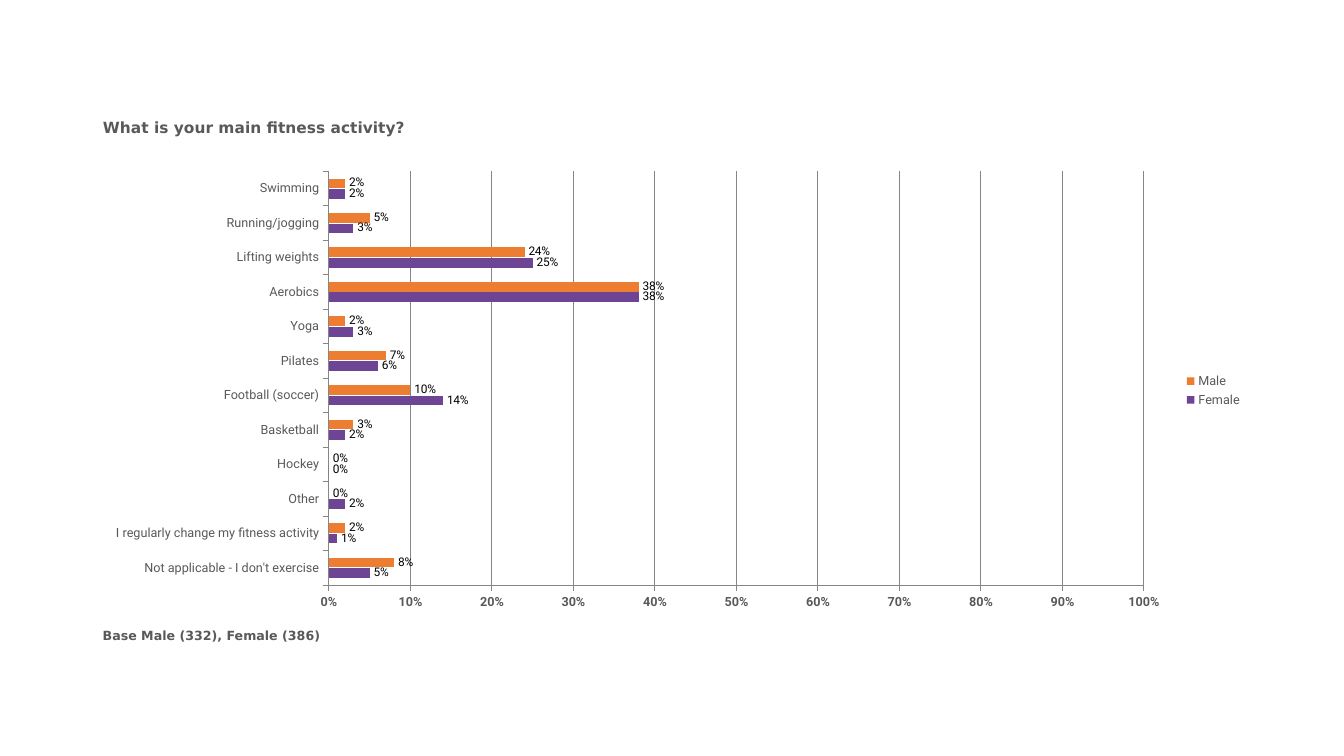
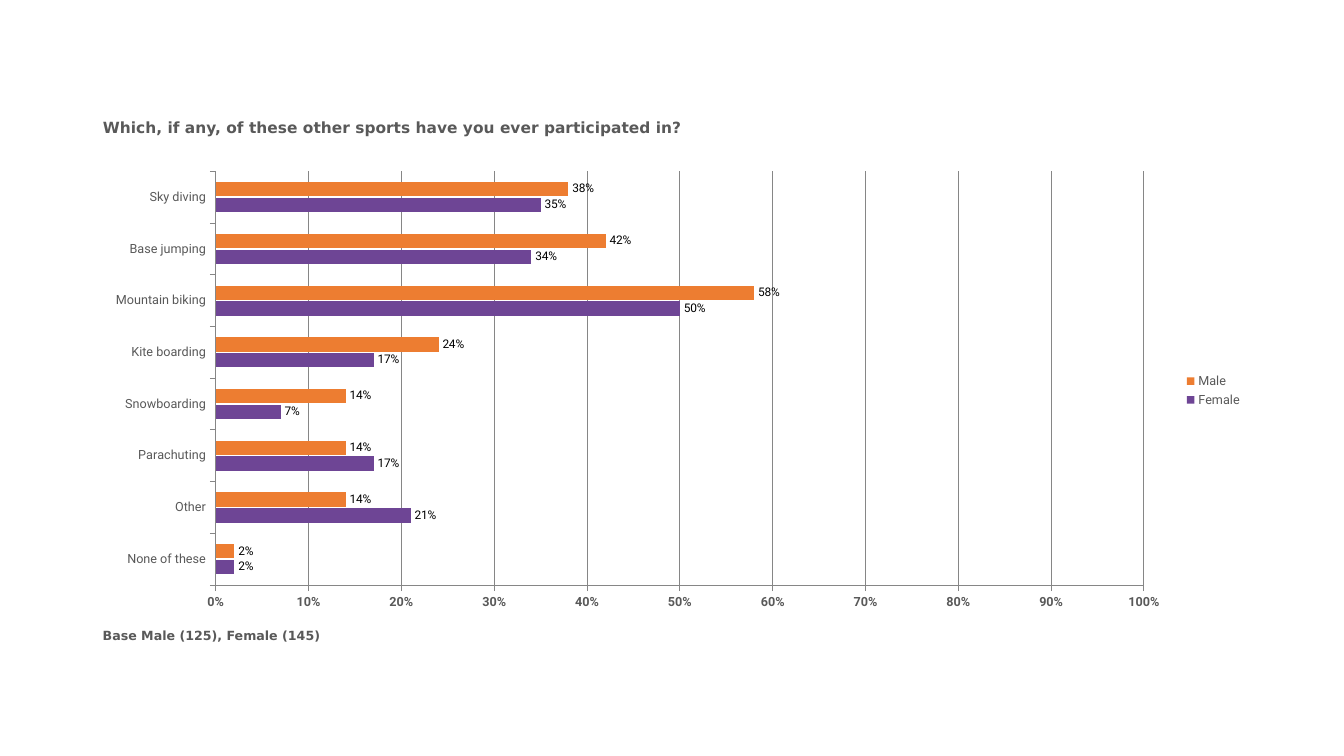
"""Build two survey slides comparing male and female answers in bar charts."""
from pptx import Presentation
from pptx.chart.data import CategoryChartData
from pptx.dml.color import RGBColor
from pptx.enum.chart import XL_CHART_TYPE, XL_LABEL_POSITION, XL_LEGEND_POSITION, XL_TICK_LABEL_POSITION, XL_TICK_MARK
from pptx.enum.text import MSO_ANCHOR, MSO_AUTO_SIZE, PP_ALIGN
from pptx.util import Inches, Pt

SURVEYS = [
    {
        "question": "What is your main fitness activity?",
        "base": "Base Male (332), Female (386)",
        "answers": [
            ("Not applicable - I don't exercise", 0.05, 0.08),
            ("I regularly change my fitness activity", 0.01, 0.02),
            ("Other", 0.02, 0),
            ("Hockey", 0, 0),
            ("Basketball", 0.02, 0.03),
            ("Football (soccer)", 0.14, 0.10),
            ("Pilates", 0.06, 0.07),
            ("Yoga", 0.03, 0.02),
            ("Aerobics", 0.38, 0.38),
            ("Lifting weights", 0.25, 0.24),
            ("Running/jogging", 0.03, 0.05),
            ("Swimming", 0.02, 0.02),
        ],
    },
    {
        "question": "Which, if any, of these other sports have you ever participated in?",
        "base": "Base Male (125), Female (145)",
        "answers": [
            ("None of these", 0.02, 0.02),
            ("Other", 0.21, 0.14),
            ("Parachuting", 0.17, 0.14),
            ("Snowboarding", 0.07, 0.14),
            ("Kite boarding", 0.17, 0.24),
            ("Mountain biking", 0.50, 0.58),
            ("Base jumping", 0.34, 0.42),
            ("Sky diving", 0.35, 0.38),
        ],
    },
]
GROUPS = ("Female", "Male")
COLORS = {"Female": "6E4595", "Male": "ED7D31", "text": "595959", "label": "000000", "line": "868686"}
TEXT_FONT, CHART_FONT = "DejaVu Sans", "Roboto"
LEFT, WIDTH = 0.92, 11.5
ROWS = {"question": (1.12, 0.51), "chart": (1.61, 4.53), "base": (6.18, 0.43)}


def color(name):
    return RGBColor.from_string(COLORS[name])


def box(row):
    top, height = ROWS[row]
    return [Inches(n) for n in (LEFT, top, WIDTH, height)]


def style(font, name, size, bold=False, tone="text"):
    font.name, font.size, font.bold = name, Pt(size), bold
    font.color.rgb = color(tone)


def write(sp, row, text, size):
    sp.left, sp.top, sp.width, sp.height = box(row)
    tf = sp.text_frame
    tf.text = text
    tf.word_wrap, tf.auto_size = True, MSO_AUTO_SIZE.NONE
    tf.vertical_anchor = MSO_ANCHOR.TOP
    p = tf.paragraphs[0]
    p.alignment = PP_ALIGN.LEFT
    style(p.font, TEXT_FONT, size, bold=True)


def style_axis(axis, bold=False):
    axis.major_tick_mark, axis.minor_tick_mark = XL_TICK_MARK.OUTSIDE, XL_TICK_MARK.NONE
    axis.tick_label_position = XL_TICK_LABEL_POSITION.LOW
    axis.format.line.color.rgb = color("line")
    style(axis.tick_labels.font, CHART_FONT, 9, bold)


def add_bars(s, answers):
    names, *columns = zip(*answers)
    data = CategoryChartData(number_format="0%")
    data.categories = names
    for group, values in zip(GROUPS, columns):
        data.add_series(group, values)
    chart = s.shapes.add_chart(XL_CHART_TYPE.BAR_CLUSTERED, *box("chart"), data).chart
    chart.has_title = False
    chart.font.name, chart.font.size = "Calibri", Pt(18)

    style_axis(chart.category_axis)
    axis = chart.value_axis
    style_axis(axis, bold=True)
    axis.minimum_scale, axis.maximum_scale, axis.major_unit = 0, 1, 0.1
    axis.has_major_gridlines = True
    axis.major_gridlines.format.line.color.rgb = color("line")
    axis.tick_labels.number_format = "0%"
    axis.tick_labels.number_format_is_linked = False

    chart.has_legend = True
    chart.legend.position = XL_LEGEND_POSITION.RIGHT
    chart.legend.include_in_layout = False
    style(chart.legend.font, CHART_FONT, 9)

    plot = chart.plots[0]
    plot.gap_width, plot.overlap, plot.vary_by_categories = 150, -10, False
    for series in plot.series:
        series.format.fill.solid()
        series.format.fill.fore_color.rgb = color(series.name)
        labels = series.data_labels
        labels.show_value = True
        labels.position = XL_LABEL_POSITION.OUTSIDE_END
        labels.number_format, labels.number_format_is_linked = "0%", False
        style(labels.font, CHART_FONT, 8.5, tone="label")


prs = Presentation()
prs.slide_width, prs.slide_height = Inches(13.33), Inches(7.5)
for survey in SURVEYS:
    s = prs.slides.add_slide(prs.slide_layouts.get_by_name("Title Only"))
    write(s.shapes.title, "question", survey["question"], 11)
    write(s.shapes.add_textbox(*box("base")), "base", survey["base"], 9)
    add_bars(s, survey["answers"])
prs.save("out.pptx")
